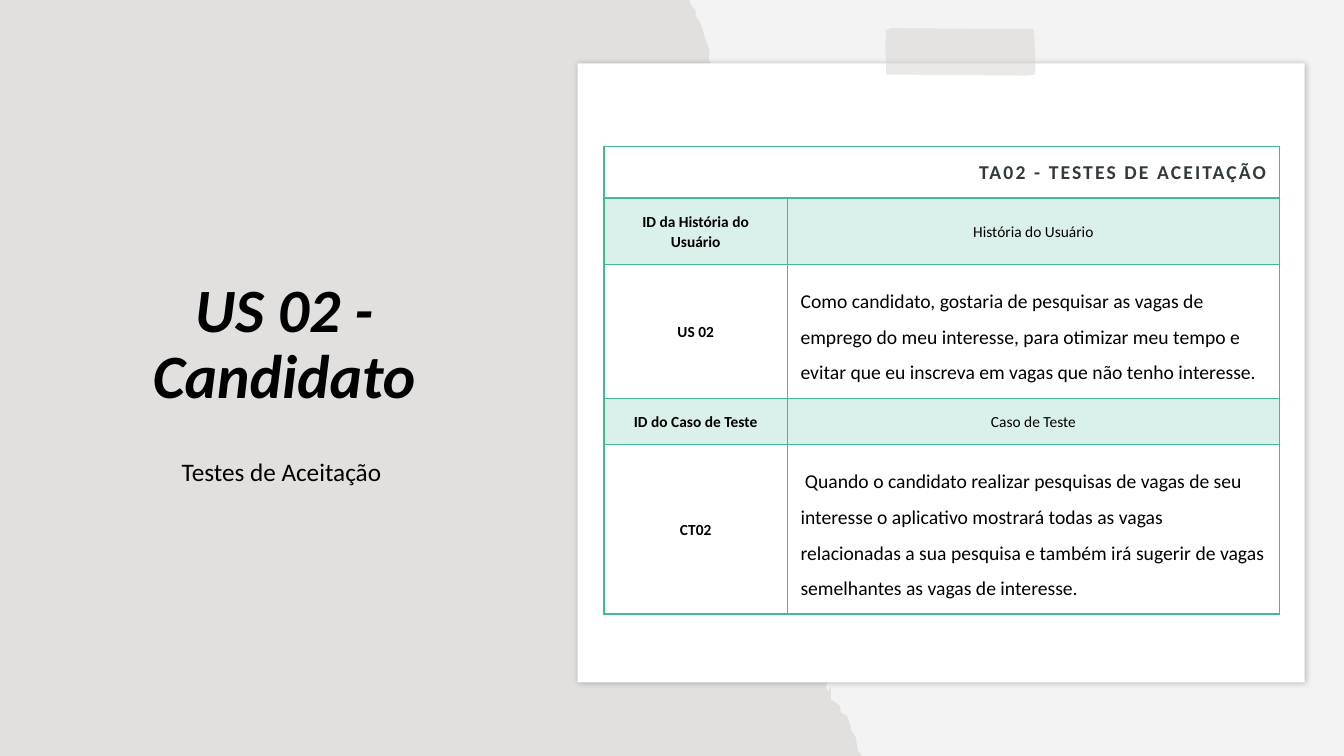
import lxml.etree
import pptx
import pptx.dml.color
import pptx.enum.shapes
import pptx.enum.text
import pptx.oxml
import pptx.oxml.ns
import pptx.util

Inches = pptx.util.Inches
Pt = pptx.util.Pt
Align = pptx.enum.text.PP_ALIGN
Anchor = pptx.enum.text.MSO_ANCHOR
qn = pptx.oxml.ns.qn
NAMESPACE = 'xmlns:a="http://schemas.openxmlformats.org/drawingml/2006/main"'
GREEN = "42BA97"

TORN_EDGE = [
    (6.84, 0), (6.86, .06), (6.9, .1), (6.9, .16), (6.93, .2), (6.96, .26),
    (6.99, .37), (7.04, .5), (7.03, .56), (7.05, .66), (7.03, .78), (7.11, .85),
    (7.09, .97), (7.05, 1.04), (7.03, 1.15), (7.08, 1.27), (7.08, 1.37),
    (7.12, 1.47), (7.16, 1.63), (7.16, 1.84), (7.18, 1.98), (7.26, 2.22),
    (7.25, 2.47), (7.26, 2.88), (7.24, 3.04), (7.28, 3.31), (7.29, 4.02),
    (7.34, 4.38), (7.43, 4.73), (7.49, 4.88), (7.54, 5.07), (7.73, 5.3),
    (7.88, 5.43), (7.99, 5.67), (7.96, 5.78), (8.06, 5.9), (8.12, 6.03),
    (8.23, 6.13), (8.2, 6.25), (8.21, 6.3), (8.25, 6.45), (8.25, 6.5),
    (8.26, 6.62), (8.24, 6.69), (8.19, 6.81), (8.21, 6.86), (8.24, 6.81),
    (8.24, 6.94), (8.33, 7), (8.34, 7.07), (8.4, 7.1), (8.43, 7.18),
    (8.44, 7.24), (8.49, 7.32), (8.5, 7.4), (8.51, 7.45), (8.55, 7.5),
]
TAPE_EDGE = [
    (.01, .02), (.06, 0), (1.47, .01), (1.48, .09), (1.49, .33), (1.49, .46),
    (1.4, .47), (.01, .46), (.01, .4), (.01, .32), (0, .19),
]
TABLE_ROWS = [
    (.51, ["TA02 - TESTES DE ACEITAÇÃO", ""]),
    (.66, ["ID da História do Usuário", "História do Usuário"]),
    (1.32, ["US 02", "Como candidato, gostaria de pesquisar as vagas de emprego do meu "
            "interesse, para otimizar meu tempo e evitar que eu inscreva em vagas que "
            "não tenho interesse."]),
    (.46, ["ID do Caso de Teste", "Caso de Teste"]),
    (1.66, ["CT02", "\u00a0Quando o candidato realizar pesquisas de vagas de seu interesse o "
            "aplicativo mostrará todas as vagas relacionadas a sua pesquisa e também "
            "irá sugerir de vagas semelhantes as vagas de interesse."]),
]


def paint(fill, color, opacity=100):
    """Give a fill a solid hex colour with an opacity in percent."""
    fill.solid()
    fill.fore_color.rgb = pptx.dml.color.RGBColor.from_string(color)
    if opacity < 100:
        for node in fill._xPr.iter(qn("a:srgbClr")):
            lxml.etree.SubElement(node, qn("a:alpha")).set("val", str(opacity * 1000))


def write(frame, text, font, layout):
    """Write one formatted paragraph into a text frame."""
    para = frame.paragraphs[0]
    for name, value in layout.items():
        setattr(para, name, value)
    span = para.add_run()
    span.text = text
    for name, value in {"name": "Calibri", **font}.items():
        setattr(span.font, name, value)
    paint(span.font.fill, "000000")
    return span


def place(shape, box):
    """Move a shape to a box given in inches."""
    for name, value in zip(("left", "top", "width", "height"), box):
        setattr(shape, name, Inches(value))


def draw_outline(page, box, points, color, opacity):
    """Draw a borderless filled outline whose points start at the box corner."""
    spots = [(Inches(box[0] + x), Inches(box[1] + y)) for x, y in points]
    builder = page.shapes.build_freeform(*spots[0])
    builder.add_line_segments(spots[1:], close=True)
    shape = builder.convert_to_shape()
    shape.shadow.inherit = False
    shape.line.fill.background()
    paint(shape.fill, color, opacity)
    return shape


def draw_heading(page, box):
    """Fill the title and the subtitle at the left of the slide."""
    left, top, width, height = box
    title, body = page.placeholders
    place(title, (left, top, width, 3.06))
    place(body, (left + .35, top + 3.43, width - .7, height - 3.43))
    layout = {"alignment": Align.CENTER, "line_spacing": .9}
    for holder, anchor in ((title, Anchor.BOTTOM), (body, Anchor.TOP)):
        frame = holder.text_frame
        frame.auto_size = pptx.enum.text.MSO_AUTO_SIZE.NONE
        frame.vertical_anchor = anchor
    write(title.text_frame, "US 02 - Candidato",
          {"size": Pt(44), "bold": True, "italic": True}, layout)
    write(body.text_frame, "Testes de Aceitação ", {"size": Pt(18)},
          {**layout, "space_before": Pt(10)})
    properties = body.text_frame.paragraphs[0]._p.get_or_add_pPr()
    properties.set("marL", "0")
    properties.set("indent", "0")
    lxml.etree.SubElement(properties, qn("a:buNone"))


def draw_card(page, box):
    """Draw the white sheet with its soft shadow and the tape on top."""
    card = page.shapes.add_shape(pptx.enum.shapes.MSO_SHAPE.RECTANGLE,
                                 *[Inches(value) for value in box])
    card.shadow.inherit = False
    card.line.fill.background()
    paint(card.fill, "FFFFFF")
    effects = card._element.spPr.find(qn("a:effectLst"))
    effects.append(pptx.oxml.parse_xml(
        f'<a:outerShdw {NAMESPACE} blurRad="{Pt(4)}" dist="{Pt(1)}" dir="3000000">'
        '<a:srgbClr val="000000"><a:alpha val="24000"/></a:srgbClr></a:outerShdw>'))
    tape = (box[0] + 3.05, box[1] - .35)
    draw_outline(page, tape, TAPE_EDGE, "D9D4D0", 50)


def draw_borders(cell, widths):
    """Put green borders, with widths in points by side, on a cell."""
    properties = cell._tc.get_or_add_tcPr()
    for index, (side, width) in enumerate(widths.items()):
        properties.insert(index, pptx.oxml.parse_xml(
            f'<a:ln{side} {NAMESPACE} w="{Pt(width)}"><a:solidFill>'
            f'<a:srgbClr val="{GREEN}"/></a:solidFill></a:ln{side}>'))


def draw_cell(cell, text, row, column):
    """Format one table cell by its row and column."""
    heading, label = row == 0, row in (1, 3)
    story = column == 1 and not label
    for side in ("left", "top", "right", "bottom"):
        setattr(cell, f"margin_{side}", Inches(.13))
    cell.vertical_anchor = Anchor.MIDDLE
    if label:
        paint(cell.fill, GREEN, 20)
    else:
        cell.fill.background()
    draw_borders(cell, {"L": 1, "R": 1, "T": 2 if row == 1 else 1, "B": 2 if heading else 1})
    if not text:
        return
    align = Align.RIGHT if heading else Align.LEFT if story else Align.CENTER
    span = write(cell.text_frame, text,
                 {"size": Pt(14 if heading or story else 11), "bold": column == 0},
                 {"alignment": align, "line_spacing": 1.5 if story else 1.07,
                  "space_after": Pt(8)})
    if heading:
        paint(span.font.fill, "333A3E")
        span._r.get_or_add_rPr().set("spc", "150")


def draw_table(page, box):
    """Build the acceptance test table."""
    table = page.shapes.add_table(len(TABLE_ROWS), 2,
                                  *[Inches(value) for value in box]).table
    table.first_row = table.horz_banding = False
    for column, width in zip(table.columns, (1.82, box[2] - 1.82)):
        column.width = Inches(width)
    for row, (height, texts) in enumerate(TABLE_ROWS):
        table.rows[row].height = Inches(height)
        for column, text in enumerate(texts):
            draw_cell(table.cell(row, column), text, row, column)
    table.cell(0, 0).merge(table.cell(0, 1))


def main():
    """Build and save the slide."""
    deck = pptx.Presentation()
    deck.slide_width, deck.slide_height = Inches(13.33), Inches(7.5)
    page = deck.slides.add_slide(deck.slide_layouts[1])
    paint(page.background.fill, "F3F3F3")
    draw_heading(page, (.57, 1.08, 4.5, 4.67))
    paper = draw_outline(page, (0, 0), [(0, 0), *TORN_EDGE, (0, 7.5)], "82766A", 15)
    page.shapes.title._element.addprevious(paper._element)
    draw_card(page, (5.73, .63, 7.21, 6.14))
    draw_table(page, (5.99, 1.45, 6.7, 4.61))
    deck.save("out.pptx")


main()
